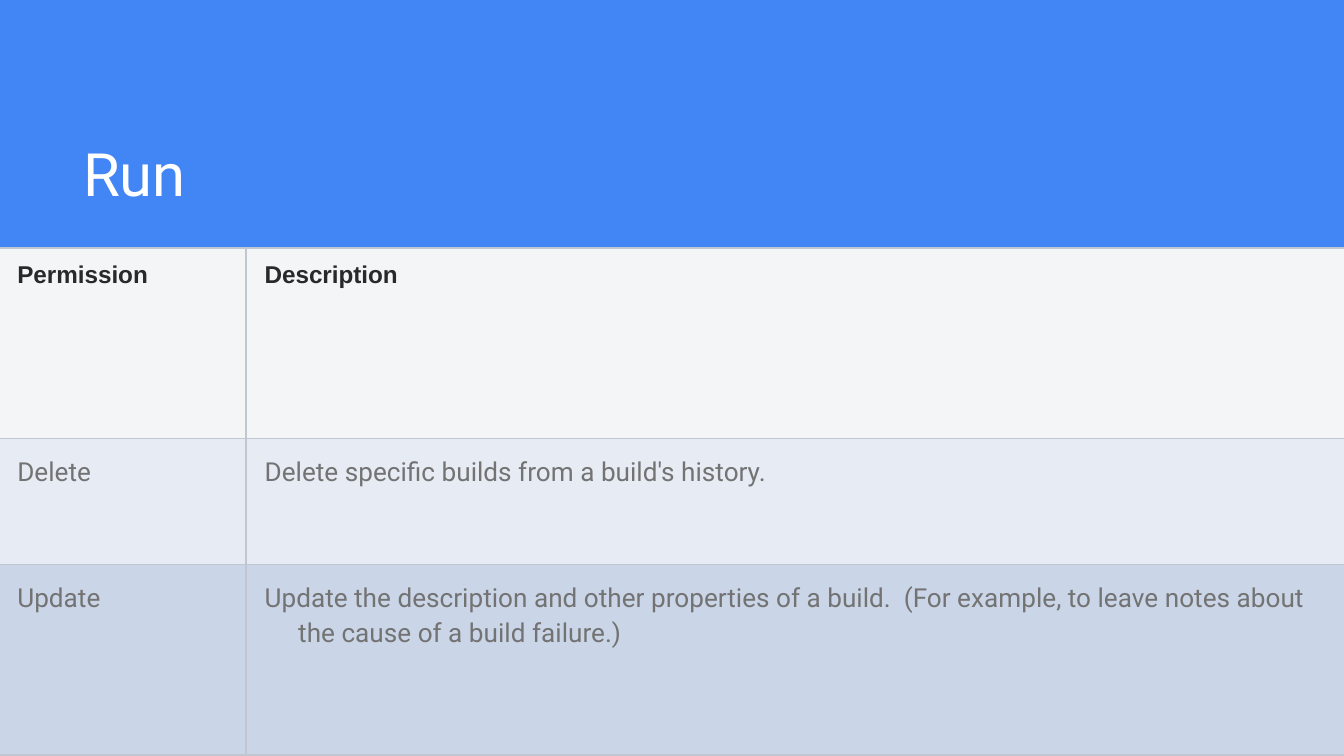
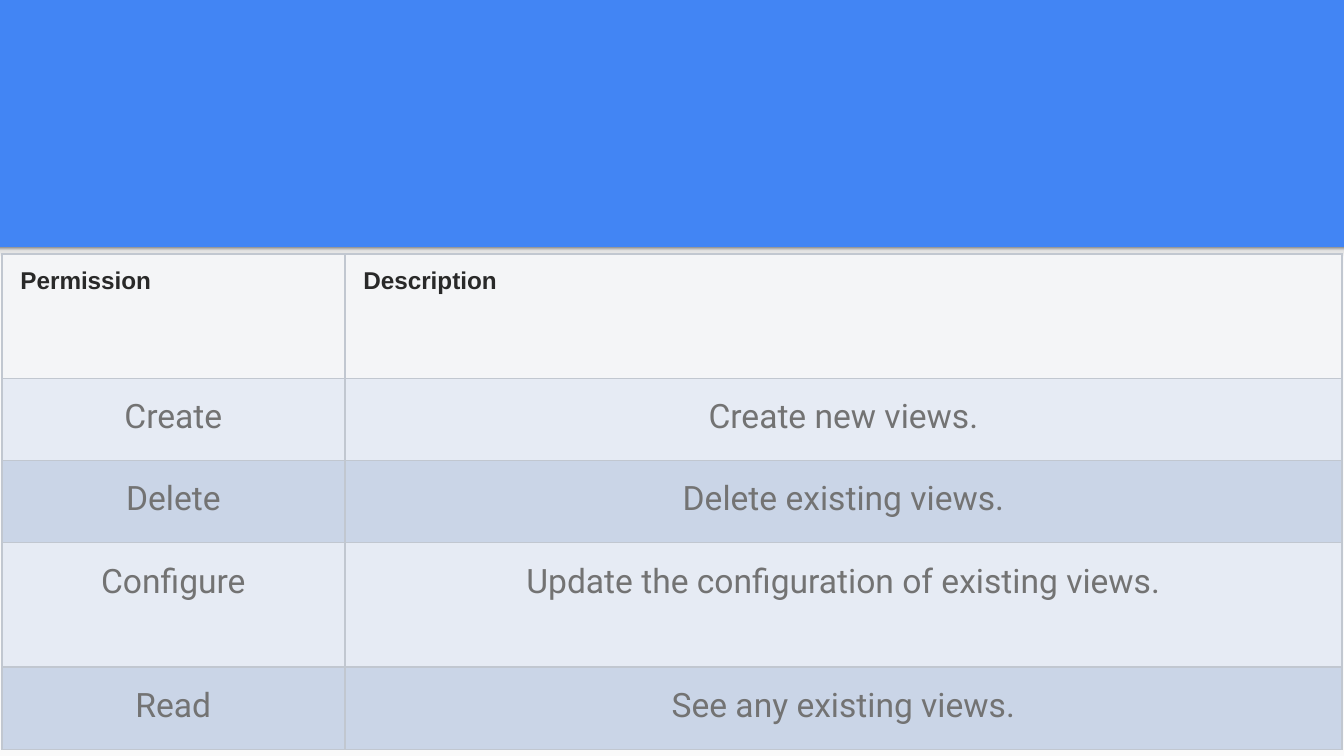
from lxml import etree
from pptx import Presentation
from pptx.dml.color import RGBColor
from pptx.enum import shapes, text
from pptx.oxml import ns
from pptx.util import Pt

COLORS = {
    "blue": "4285F4", "panel": "FAFAFA", "white": "FFFFFF",
    "head_fill": "F4F5F7", "head_text": "292929", "body_text": "737373",
    "odd": "E6EBF4", "even": "CAD5E7", "border": "C1C7D0",
}
EDGE_STOPS = [(0, "F9F9F9"), (36, "F9F9F9"), (80, "DEDEDE"), (100, "999999")]
WIDTH, HEIGHT, BAND = 720, 405, 132.5
HEADER = ("Permission", "Description")


def rgb(name):
    """Return the named colour."""
    return RGBColor.from_string(COLORS[name])


def sub(parent, tag, **attrs):
    """Append a DrawingML element to parent."""
    return etree.SubElement(parent, ns.qn(tag), **attrs)


def add_run(p, words, font, size, color, bold=False):
    """Add one formatted run to a paragraph."""
    r = p.add_run()
    r.text = words
    r.font.name, r.font.size, r.font.bold = font, Pt(size), bold
    r.font.color.rgb = rgb(color)


def add_rect(s, x, y, w, h):
    """Add a rectangle without line or shadow."""
    sp = s.shapes.add_shape(shapes.MSO_SHAPE.RECTANGLE, Pt(x), Pt(y), Pt(w), Pt(h))
    sp.shadow.inherit = False
    sp.line.fill.background()
    return sp


def add_backdrop(s):
    """Blue slide with a light lower panel and a shaded top edge."""
    s.background.fill.solid()
    s.background.fill.fore_color.rgb = rgb("blue")
    panel = add_rect(s, 0, BAND, WIDTH, HEIGHT - BAND)
    panel.fill.solid()
    panel.fill.fore_color.rgb = rgb("panel")
    edge = add_rect(s, 0, BAND, WIDTH, 8.5)
    edge.fill.gradient()
    edge.fill.gradient_angle = 90
    stops = next(edge._element.iter(ns.qn("a:gsLst")))
    for old in list(stops):
        stops.remove(old)
    for pos, color in EDGE_STOPS:
        sub(sub(stops, "a:gs", pos=str(pos * 1000)), "a:srgbClr", val=color)


def add_title(s, words, x, y, w, h):
    """Bottom-anchored white title in the blue band."""
    tf = s.shapes.add_textbox(Pt(x), Pt(y), Pt(w), Pt(h)).text_frame
    tf.word_wrap = True
    tf.vertical_anchor = text.MSO_ANCHOR.BOTTOM
    tf.margin_left = tf.margin_right = tf.margin_top = tf.margin_bottom = Pt(7.2)
    add_run(tf.paragraphs[0], words, "Roboto", 32, "white")


def style_cell(cell, fill):
    """Set fill, margins and thin borders of a cell."""
    cell.margin_left = cell.margin_right = Pt(10)
    cell.margin_top = cell.margin_bottom = Pt(7.2)
    tc_pr = cell._tc.get_or_add_tcPr()
    for side in ("L", "R", "T", "B"):
        ln = sub(tc_pr, "a:ln" + side, w=str(Pt(1)))
        sub(sub(ln, "a:solidFill"), "a:srgbClr", val=COLORS["border"])
    cell.fill.solid()
    cell.fill.fore_color.rgb = rgb(fill)


def add_permissions(s, x, y, cols, heights, rows, size, align):
    """Permission table: bold header row, then alternating body rows."""
    table = s.shapes.add_table(len(heights), len(cols), Pt(x), Pt(y),
                               Pt(sum(cols)), Pt(sum(heights))).table
    table.first_row = table.horz_banding = False
    for column, width in zip(table.columns, cols):
        column.width = Pt(width)
    for i, (height, row) in enumerate(zip(heights, [HEADER, *rows])):
        table.rows[i].height = Pt(height)
        for j, words in enumerate(row):
            cell = table.cell(i, j)
            p = cell.text_frame.paragraphs[0]
            if i == 0:
                style_cell(cell, "head_fill")
                add_run(p, words, "Arial", 13, "head_text", True)
                continue
            style_cell(cell, "odd" if i % 2 else "even")
            p.alignment, p.line_spacing = align, 1.15
            p_pr = p._p.get_or_add_pPr()
            p_pr.set("marL", str(Pt(18)))
            p_pr.set("indent", str(-Pt(18)))
            add_run(p, words, "Roboto", size, "body_text")


def new_slide(prs):
    """Add a blank slide with the shared backdrop."""
    s = prs.slides.add_slide(prs.slide_layouts[6])
    add_backdrop(s)
    return s


prs = Presentation()
prs.slide_width, prs.slide_height = Pt(WIDTH), Pt(HEIGHT)

s = new_slide(prs)
add_title(s, "Run", 37.5, 58.3, 647.5, 60.5)
add_permissions(s, -0.7, 133, [132.5, 589], [102, 67.5, 102], [
    ("Delete", "Delete specific builds from a build's history."),
    ("Update", "Update the description and other properties of a build. \u00a0"
               "(For example, to leave notes about the cause of a build failure.)"),
], 14, text.PP_ALIGN.LEFT)

s = new_slide(prs)
add_permissions(s, 1, 136, [183.75, 534.25], [66.75, 44, 44, 66.75, 44], [
    ("Create", "Create new views."),
    ("Delete", "Delete existing views."),
    ("Configure", "Update the configuration of existing views."),
    ("Read", "See any existing views."),
], 18, text.PP_ALIGN.CENTER)

prs.save("out.pptx")
